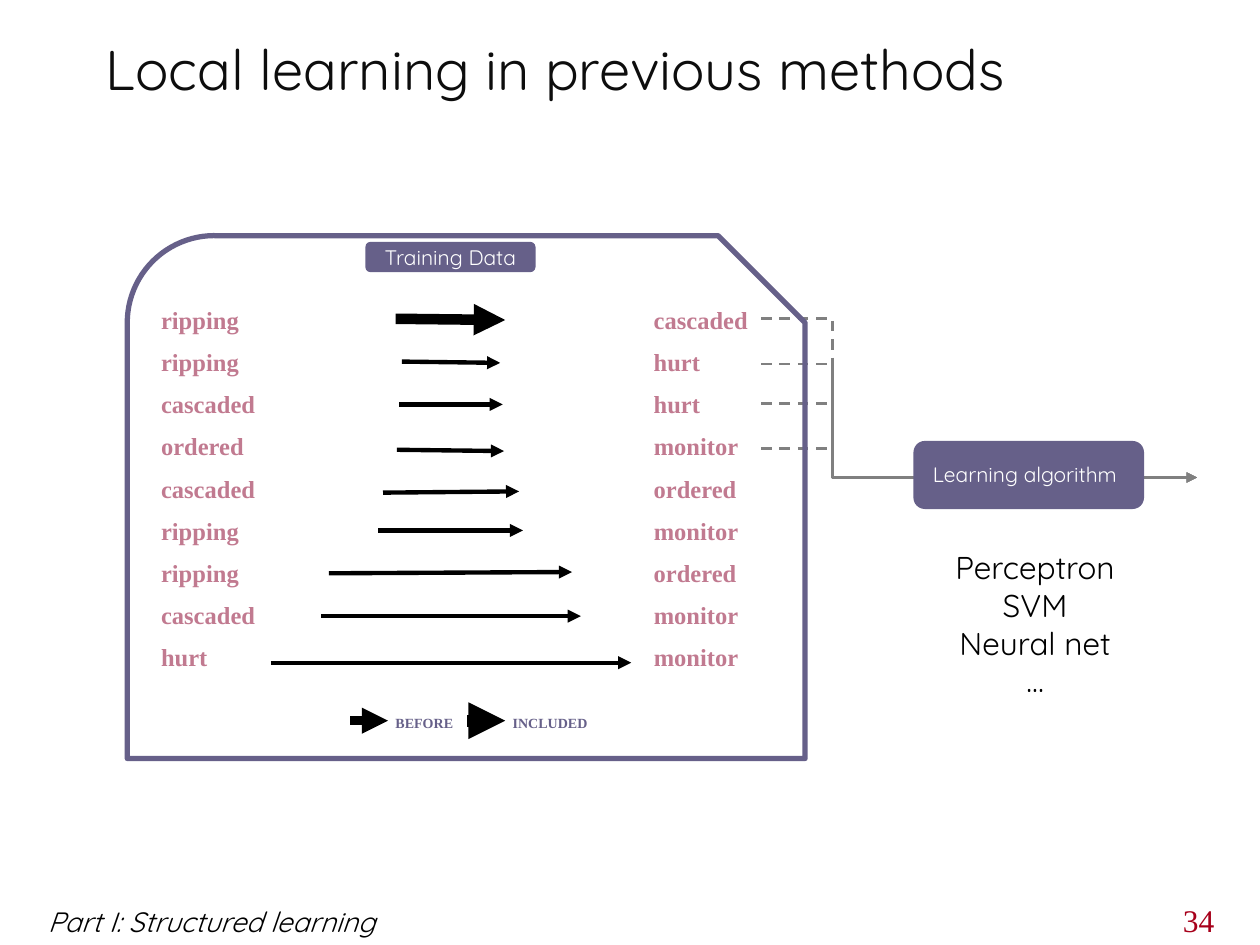
import pptx
import pptx.util
import pptx.dml.color
import pptx.enum.dml
import pptx.enum.shapes
import pptx.enum.text
import pptx.oxml.ns
import lxml.etree

Inches = pptx.util.Inches
Pt = pptx.util.Pt
Form = pptx.enum.shapes.MSO_SHAPE
Join = pptx.enum.shapes.MSO_CONNECTOR
Align = pptx.enum.text.PP_ALIGN
Mid = pptx.enum.text.MSO_ANCHOR.MIDDLE
Fit = pptx.enum.text.MSO_AUTO_SIZE
qn = pptx.oxml.ns.qn

HUES = {"plum": "666089", "rose": "C17A90", "red": "A7001B", "ink": "0D0D0D",
        "black": "000000", "gray": "808080", "white": "FFFFFF"}
QUICK, TIMES = "Quicksand", "Times New Roman"
WIDTHS = {"cascaded": 0.96, "hurt": 0.57, "ripping": 0.82,
          "ordered": 0.86, "monitor": 0.88}
ROWS = [
    ("ripping", "cascaded", (3.14, 2.53, 4.01, 2.54)),
    ("ripping", "hurt", (3.19, 2.87, 3.97, 2.88)),
    ("cascaded", "hurt", (3.17, 3.21, 3.99, 3.21)),
    ("ordered", "monitor", (3.15, 3.57, 4, 3.58)),
    ("cascaded", "ordered", (3.04, 3.91, 4.12, 3.9)),
    ("ripping", "monitor", (3, 4.21, 4.15, 4.21)),
    ("ripping", "ordered", (2.61, 4.55, 4.54, 4.54)),
    ("cascaded", "monitor", (2.55, 4.89, 4.61, 4.89)),
    ("hurt", "monitor", (2.15, 5.26, 5.01, 5.26)),
]
TOP, STEP = 2.37, 0.335


class Deck:
    """Holds the style and the current slide, and draws each kind of element."""

    def __init__(self):
        self.file = pptx.Presentation()
        self.file.slide_width, self.file.slide_height = Inches(10), Inches(7.5)
        self.slide = self.file.slides.add_slide(self.file.slide_layouts[5])

    def hue(self, name):
        return pptx.dml.color.RGBColor.from_string(HUES[name])

    def letter(self, frame, lines, hue, align=Align.LEFT, **form):
        form["size"] = Pt(form["size"])
        for num, line in enumerate(lines):
            par = frame.add_paragraph() if num else frame.paragraphs[0]
            par.alignment = align
            run = par.add_run()
            run.text = line
            for key, val in form.items():
                setattr(run.font, key, val)
            run.font.color.rgb = self.hue(hue)

    def title(self, text, box, **form):
        shape = self.slide.shapes.title
        for key, val in zip(("left", "top", "width", "height"), box):
            setattr(shape, key, Inches(val))
        shape.text_frame.auto_size = Fit.NONE
        shape.text_frame.vertical_anchor = Mid
        self.letter(shape.text_frame, [text], **form)

    def text(self, lines, box, wrap=False, left=0.1, **form):
        frame = self.slide.shapes.add_textbox(*map(Inches, box)).text_frame
        looks = {"word_wrap": wrap, "auto_size": Fit.SHAPE_TO_FIT_TEXT,
                 "margin_left": Inches(left)}
        for key, val in looks.items():
            setattr(frame, key, val)
        self.letter(frame, lines, **form)

    def shape(self, kind, box, fill=None, line=None):
        shape = self.slide.shapes.add_shape(kind, *map(Inches, box))
        shape.shadow.inherit = False
        if fill:
            shape.fill.solid()
            shape.fill.fore_color.rgb = self.hue(fill)
        else:
            shape.fill.background()
        if line:
            shape.line.color.rgb = self.hue(line)
            shape.line.width = Pt(3)
        else:
            shape.line.fill.background()
        return shape

    def arrow(self, ends, hue="black", width=2.5, kind=Join.STRAIGHT):
        link = self.slide.shapes.add_connector(kind, *map(Inches, ends))
        link.line.color.rgb = self.hue(hue)
        link.line.width = Pt(width)
        props = link._element.spPr
        tail = lxml.etree.SubElement(props.find(qn("a:ln")), qn("a:tailEnd"))
        tail.set("type", "triangle")
        lxml.etree.SubElement(props, qn("a:effectLst"))
        return link

    def elbow(self, ends, bend):
        link = self.arrow(ends, "gray", 1.5, Join.ELBOW)
        link.line.dash_style = pptx.enum.dml.MSO_LINE.DASH
        geom = link._element.spPr.find(qn("a:prstGeom"))
        guide = lxml.etree.SubElement(geom.find(qn("a:avLst")), qn("a:gd"))
        guide.set("name", "adj1")
        guide.set("fmla", f"val {bend}")


def main():
    deck = Deck()
    deck.title("Local learning in previous methods", (0.74, 0.25, 8.5, 0.58),
               hue="ink", size=32, name=QUICK)
    deck.text(["34"], (9.29, 7.1, 0.49, 0.4), hue="red", size=18, name=TIMES)

    for y in (3.56, 3.2, 2.89, 2.53):
        deck.elbow((6.04, y, 9.5, 3.79), 16400)

    word = {"hue": "rose", "size": 14, "name": TIMES, "bold": True}
    for num, (first, last, ends) in enumerate(ROWS):
        for x, name in ((1.18, first), (5.09, last)):
            deck.text([name], (x, TOP + num * STEP, WIDTHS[name], 0.34), **word)
        deck.arrow(ends, width=2.5 if num else 6)

    key = {"hue": "plum", "size": 8, "name": TIMES, "bold": True}
    for name, x, width, thick in (("BEFORE", 2.78, 0.66, 5),
                                  ("INCLUDED", 3.71, 0.8, 7)):
        deck.arrow((x, 5.72, x + 0.3, 5.72), width=thick)
        deck.text([name], (x + 0.26, 5.62, width, 0.24), **key)

    label = {"hue": "white", "align": Align.CENTER, "size": 12, "name": QUICK}
    deck.shape(Form.ROUNDED_RECTANGLE, (7.25, 3.5, 1.83, 0.54), "plum")
    deck.shape(Form.SNIP_ROUND_RECTANGLE, (1.01, 1.87, 5.38, 4.15), line="plum")
    head = deck.shape(Form.ROUNDED_RECTANGLE, (2.9, 1.92, 1.35, 0.24), "plum")
    head.text_frame.vertical_anchor = Mid
    deck.letter(head.text_frame, ["Training Data"], **label)
    deck.text(["Perceptron", "SVM", "Neural net", "…"], (7.43, 4.3, 1.57, 1.31),
              hue="black", align=Align.CENTER, size=18, name=QUICK)
    deck.text(["Part I: Structured learning"], (-0.22, 7.13, 4, 0.37), wrap=True,
              left=0.6, hue="black", size=16, name=QUICK, italic=True)
    deck.text(["Learning algorithm"], (7.27, 3.61, 1.73, 0.61), **label)
    deck.file.save("out.pptx")


if __name__ == "__main__":
    main()
